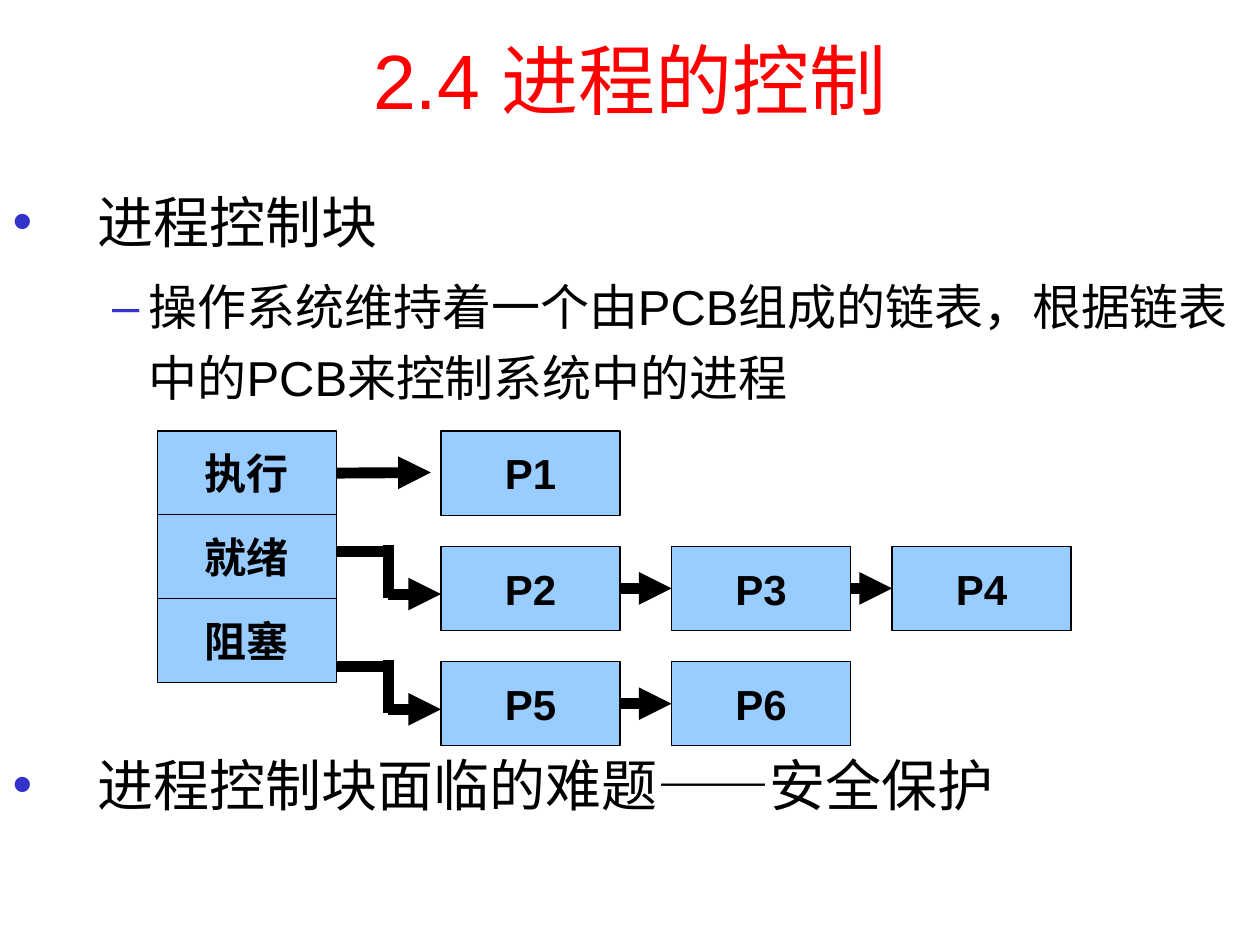
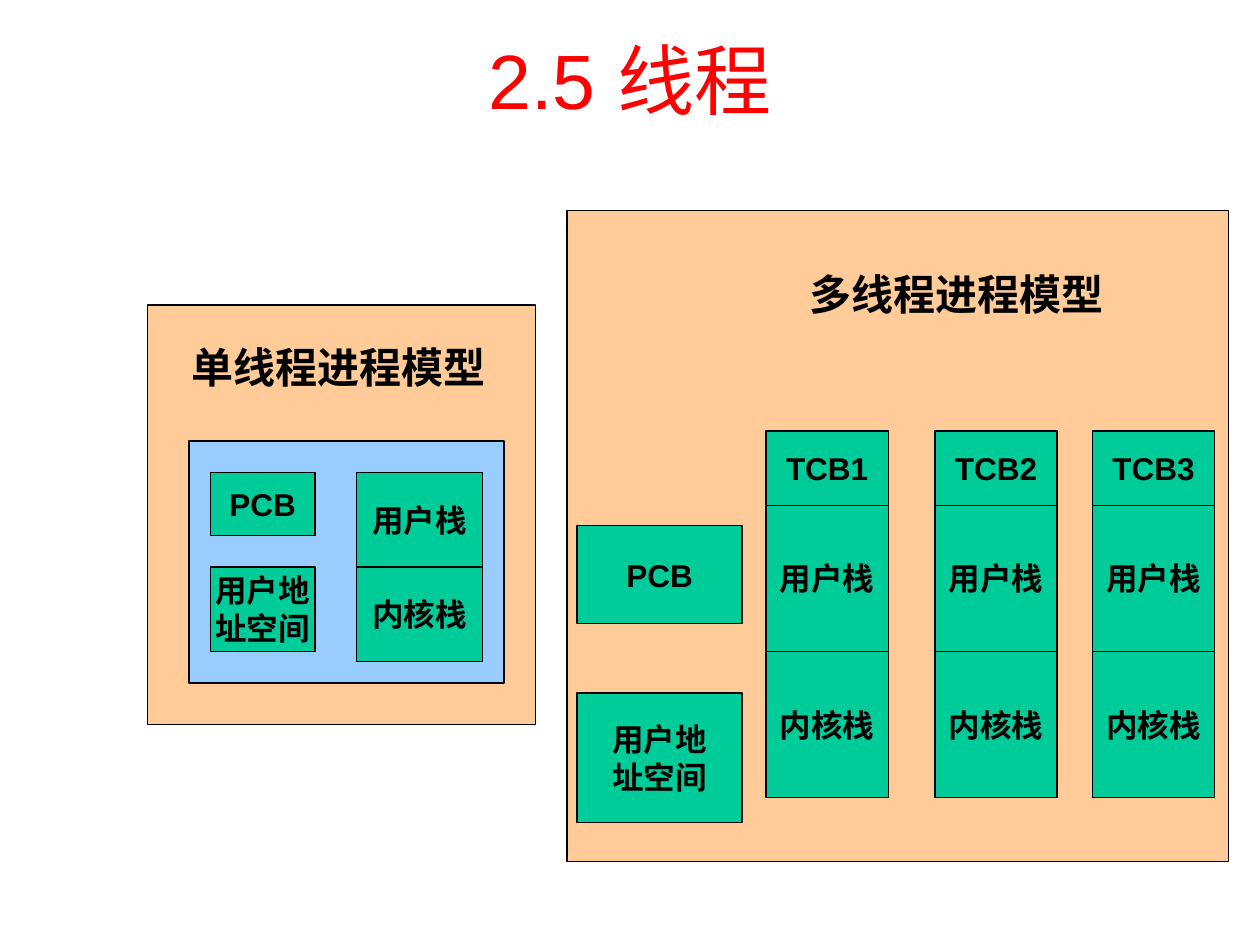
from lxml import etree
from pptx import Presentation
from pptx.dml.color import RGBColor
from pptx.enum.shapes import MSO_CONNECTOR, MSO_SHAPE
from pptx.enum.text import MSO_ANCHOR, MSO_AUTO_SIZE, PP_ALIGN
from pptx.oxml.ns import qn
from pptx.util import Inches, Pt

RECT = MSO_SHAPE.RECTANGLE
LINE = MSO_CONNECTOR.STRAIGHT
MIDDLE, TOP = MSO_ANCHOR.MIDDLE, MSO_ANCHOR.TOP
CENTER, LEFT = PP_ALIGN.CENTER, PP_ALIGN.LEFT
FIXED = MSO_AUTO_SIZE.NONE

FONT = "Arial"
BLACK, RED, DOT = "000000", "FF0000", "3333CC"
BLUE, GREEN, PEACH = "99CCFF", "00CC99", "FFCC99"
SIDE_L, SIDE_R = 1, 3

# Text, left margin, hanging indent, bullet, size, space before
POINTS = [
    ("进程控制块", 0.67, 0.67, "•", 32, 0),
    ("操作系统维持着一个由PCB组成的链表，根据链表中的PCB来控制系统中的进程",
     1.08, 0.29, "–", 28, 6),
    ("进程控制块面临的难题——安全保护", 0.67, 0.67, "•", 32, 189),
]


def color(code):
    return RGBColor.from_string(code)


def place(shape, x, y, w, h):
    shape.left, shape.top = Inches(x), Inches(y)
    shape.width, shape.height = Inches(w), Inches(h)


def style(para, size, code=BLACK, bold=False, align=LEFT):
    para.alignment = align
    for run in para.runs:
        font = run.font
        font.name, font.size, font.bold = FONT, Pt(size), bold
        font.color.rgb = color(code)


def add_slide(deck, layout, title):
    slide = deck.slides.add_slide(deck.slide_layouts[layout])
    head = slide.shapes.title
    place(head, 0, 0, 10, 1.25)
    frame = head.text_frame
    frame.text = title
    frame.auto_size = FIXED
    frame.vertical_anchor = MIDDLE
    style(frame.paragraphs[0], 44, RED, align=CENTER)
    return slide


def add_bullet(para, margin, hang, mark):
    props = para._p.get_or_add_pPr()
    props.set("marL", str(Inches(margin)))
    props.set("indent", str(-Inches(hang)))
    tint = etree.SubElement(props, qn("a:buClr"))
    etree.SubElement(tint, qn("a:srgbClr"), val=DOT)
    etree.SubElement(props, qn("a:buFont"), typeface=FONT)
    etree.SubElement(props, qn("a:buChar"), char=mark)


def add_list(slide, points):
    body = slide.placeholders[1]
    place(body, 0, 1.33, 10, 5.83)
    frame = body.text_frame
    frame.auto_size = FIXED
    frame.vertical_anchor = TOP
    for i, (text, margin, hang, mark, size, gap) in enumerate(points):
        para = frame.add_paragraph() if i else frame.paragraphs[0]
        para.text = text
        para.level = int(mark == "–")
        add_bullet(para, margin, hang, mark)
        para.line_spacing = 1.2
        para.space_before = Pt(gap)
        style(para, size)


def add_box(slide, x, y, w, h, fill, text="", size=18):
    box = slide.shapes.add_shape(RECT, Inches(x), Inches(y),
                                 Inches(w), Inches(h))
    box.shadow.inherit = False
    box.fill.solid()
    box.fill.fore_color.rgb = color(fill)
    box.line.color.rgb = color(BLACK)
    box.line.width = Pt(0.75)
    if text:
        frame = box.text_frame
        frame.text = text
        frame.word_wrap = False
        frame.vertical_anchor = MIDDLE
        for para in frame.paragraphs:
            style(para, size, bold=True, align=CENTER)
    return box


def add_label(slide, x, y, text):
    label = slide.shapes.add_textbox(Inches(x), Inches(y),
                                     Inches(2.53), Inches(0.5))
    frame = label.text_frame
    frame.text = text
    frame.word_wrap = False
    style(frame.paragraphs[0], 24, bold=True)


def add_line(slide, x1, y1, x2, y2, arrow=False):
    line = slide.shapes.add_connector(LINE, Inches(x1), Inches(y1),
                                      Inches(x2), Inches(y2))
    line.line.color.rgb = color(BLACK)
    line.line.width = Pt(6.25)
    if arrow:
        etree.SubElement(line.line._get_or_add_ln(), qn("a:tailEnd"),
                         type="triangle")
    etree.SubElement(line._element.spPr, qn("a:effectLst"))
    return line


def add_step(slide, y):
    """Draw a stepped arrow from a state to its queue."""
    add_line(slide, 2.67, y, 3.08, y)
    add_line(slide, 3.08, y - 0.05, 3.08, y + 0.37)
    add_line(slide, 3.08, y + 0.34, 3.5, y + 0.34, arrow=True)


def add_queue(slide, y, names):
    last = None
    for x, name in zip((3.5, 5.33, 7.08), names):
        box = add_box(slide, x, y, 1.42, 0.67, BLUE, name, 24)
        if last:
            link = add_line(slide, x - 0.4, y, x, y, arrow=True)
            link.begin_connect(last, SIDE_R)
            link.end_connect(box, SIDE_L)
        last = box


def add_stack(slide, x, y, w, parts):
    for text, h in parts:
        add_box(slide, x, y, w, h, GREEN, text)
        y += h


def control_slide(deck):
    slide = add_slide(deck, 1, "2.4 进程的控制")
    add_list(slide, POINTS)

    # States and their queues
    states = [add_box(slide, 1.25, 3.42 + i * 0.665, 1.42, 0.67, BLUE, name, 24)
              for i, name in enumerate(("执行", "就绪", "阻塞"))]
    queues = (["P1"], ["P2", "P3", "P4"], ["P5", "P6"])
    for i, names in enumerate(queues):
        y = 3.42 + i * 0.915
        add_queue(slide, y, names)
        if i:
            add_step(slide, y + 0.04)
    first = add_line(slide, 2.67, 3.75, 3.42, 3.75, arrow=True)
    first.begin_connect(states[0], SIDE_R)


def thread_slide(deck):
    slide = add_slide(deck, 5, "2.5 线程")
    space = "用户地\n址空间"

    # Single-thread model
    add_box(slide, 1.17, 2.42, 3.08, 3.33, PEACH)
    add_box(slide, 1.5, 3.5, 2.5, 1.92, BLUE)
    add_label(slide, 1.42, 2.66, "单线程进程模型")
    add_box(slide, 1.67, 3.75, 0.83, 0.5, GREEN, "PCB")
    add_box(slide, 1.67, 4.5, 0.83, 0.67, GREEN, space)
    add_stack(slide, 2.83, 3.75, 1, [("用户栈", 0.75), ("内核栈", 0.75)])

    # Multi-thread model
    add_box(slide, 4.5, 1.67, 5.25, 5.17, PEACH)
    add_label(slide, 6.33, 2.08, "多线程进程模型")
    add_box(slide, 4.58, 4.17, 1.31, 0.78, GREEN, "PCB")
    add_box(slide, 4.58, 5.5, 1.31, 1.03, GREEN, space)
    for i, x in enumerate((6.08, 7.42, 8.67), 1):
        add_stack(slide, x, 3.42, 0.97,
                  [(f"TCB{i}", 0.59), ("用户栈", 1.16), ("内核栈", 1.16)])


def main():
    deck = Presentation()
    deck.slide_width, deck.slide_height = Inches(10), Inches(7.5)
    control_slide(deck)
    thread_slide(deck)
    deck.save("out.pptx")


if __name__ == "__main__":
    main()
